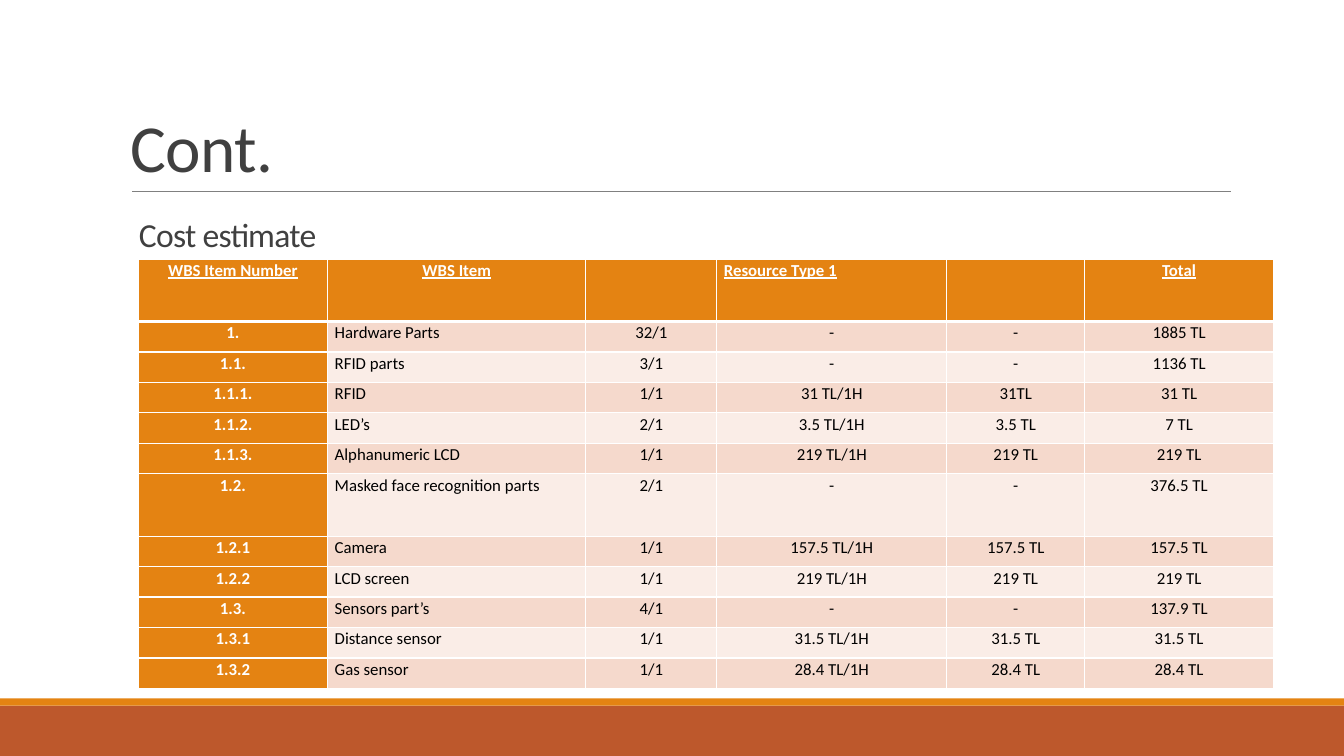
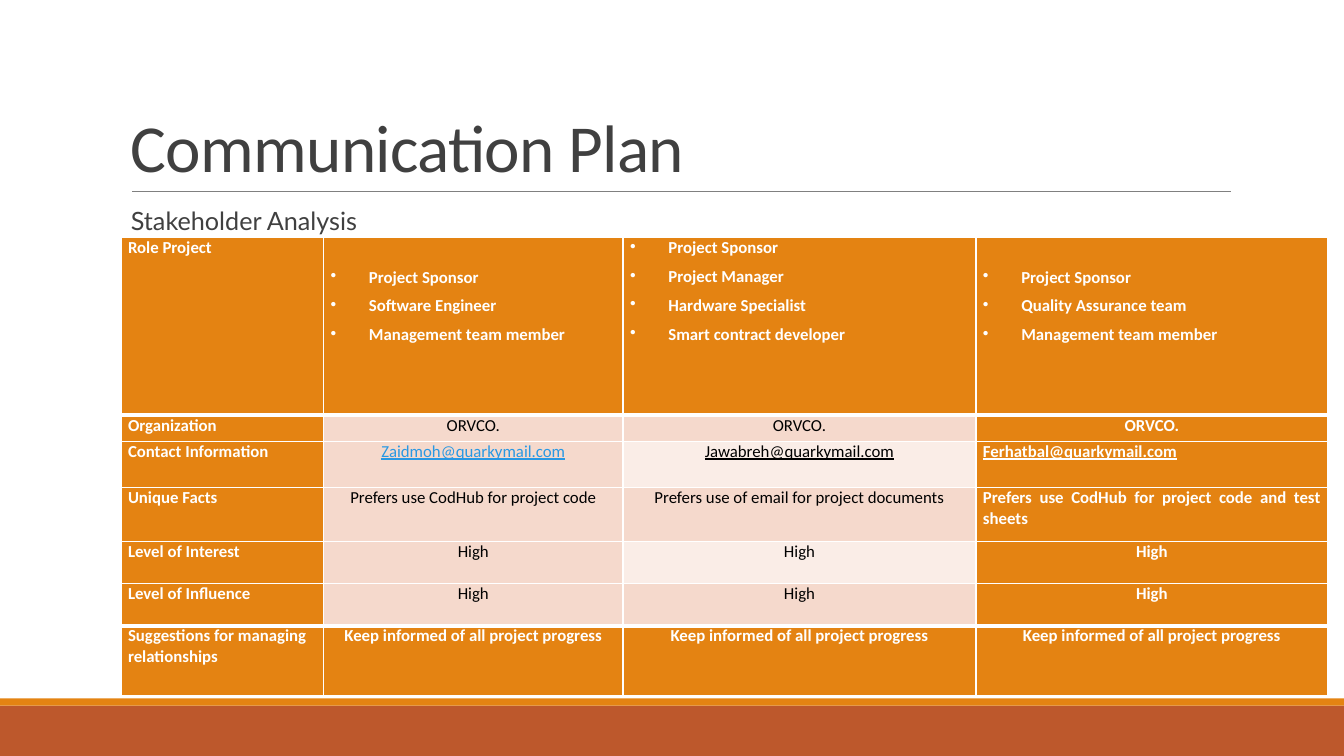
from dataclasses import dataclass

from lxml.etree import SubElement
from pptx import Presentation
from pptx.dml.color import RGBColor as RGB
from pptx.enum.shapes import MSO_CONNECTOR as Conn, MSO_SHAPE as Shape
from pptx.enum.text import MSO_ANCHOR as Anchor, PP_ALIGN as Align
from pptx.oxml.ns import qn
from pptx.util import Inches, Pt


@dataclass(frozen=True)
class Theme:
    font: str = "Calibri"
    accent: str = "E48312"
    band: str = "BD582C"
    ink: str = "404040"
    rule: str = "808080"
    white: str = "FFFFFF"
    black: str = "000000"
    link: str = "2998E3"
    tint: str = "F5D9CC"
    pale: str = "FAEDE7"
    title: int = 48
    head: int = 24
    lead: int = 18
    cell: int = 12


THEME = Theme()


@dataclass
class Look:
    """How one table cell is painted and set."""
    fill: str
    color: str = THEME.black
    bold: bool = False
    line: bool = False
    align: Align = Align.CENTER
    top: float = 0


class Deck:
    def __init__(self, theme):
        self.theme = theme
        self.prs = Presentation()
        self.prs.slide_width = Inches(13.33)
        self.prs.slide_height = Inches(7.5)
        self.slide = None

    def start(self, title):
        """Add a slide with the shared bands, rule and title."""
        t = self.theme
        self.slide = self.prs.slides.add_slide(self.prs.slide_layouts[6])
        self.band(7, 0.5, t.band)
        self.band(6.93, 0.07, t.accent)
        self.rule(1.31, 12.21, 1.9)
        self.text(title, (1.2, 0.31, 11, 1.59), t.title,
                  anchor=Anchor.BOTTOM, space=0.85, track=-50)

    def band(self, top, height, color):
        bar = self.slide.shapes.add_shape(
            Shape.RECTANGLE, 0, Inches(top), self.prs.slide_width, Inches(height))
        bar.shadow.inherit = False
        bar.fill.solid()
        bar.fill.fore_color.rgb = RGB.from_string(color)
        bar.line.fill.background()

    def rule(self, left, right, y):
        line = self.slide.shapes.add_connector(
            Conn.STRAIGHT, Inches(left), Inches(y), Inches(right), Inches(y))
        line.line.color.rgb = RGB.from_string(self.theme.rule)
        line.line.width = Pt(0.5)
        SubElement(line._element.spPr, qn("a:effectLst"))

    def run(self, para, text, size, color, font=None):
        run = para.add_run()
        run.text = text
        run.font.name = font or self.theme.font
        run.font.size = Pt(size)
        run.font.color.rgb = RGB.from_string(color)
        return run

    def text(self, text, box, size, anchor=Anchor.TOP, space=0.9,
             track=0, font=None):
        frame = self.slide.shapes.add_textbox(*map(Inches, box)).text_frame
        frame.word_wrap = True
        frame.vertical_anchor = anchor
        para = frame.paragraphs[0]
        para.line_spacing = space
        run = self.run(para, text, size, self.theme.ink, font)
        if track:
            run.font._element.set("spc", str(track))

    def table(self, spot, cols, rows, data, look, thick, space=1.0, after=0):
        """Fill a table; look(row, col) styles a cell, thick lists heavy row edges."""
        box = (*spot, sum(cols), sum(rows))
        grid = self.slide.shapes.add_table(
            len(rows), len(cols), *map(Inches, box)).table
        grid.first_row = grid.horz_banding = False
        for col, width in zip(grid.columns, cols):
            col.width = Inches(width)
        for row, height in zip(grid.rows, rows):
            row.height = Inches(height)
        for r, line in enumerate(data):
            for c, value in enumerate(line):
                cell, style = grid.cell(r, c), look(r, c)
                self.edges(cell, 3 if r in thick else 1,
                           3 if r + 1 in thick else 1)
                self.cell(cell, value, style, space, after)

    def edges(self, cell, top, bottom):
        props = cell._tc.get_or_add_tcPr()
        for side, width in zip("LRTB", (1, 1, top, bottom)):
            edge = SubElement(props, qn(f"a:ln{side}"), w=str(Pt(width)))
            fill = SubElement(edge, qn("a:solidFill"))
            SubElement(fill, qn("a:srgbClr"), val=self.theme.white)

    def cell(self, cell, value, style, space, after):
        """Write a string, or a list as bullets."""
        cell.fill.solid()
        cell.fill.fore_color.rgb = RGB.from_string(style.fill)
        cell.margin_left = cell.margin_right = Inches(0.07)
        cell.margin_top, cell.margin_bottom = Inches(style.top), 0
        listed = isinstance(value, list)
        frame = cell.text_frame
        for i, item in enumerate(value if listed else [value]):
            para = frame.add_paragraph() if i else frame.paragraphs[0]
            para.alignment = Align.LEFT if listed else style.align
            para.line_spacing = space
            para.space_after = Pt(after)
            if listed:
                self.bullet(para)
            if item:
                font = self.run(para, item, self.theme.cell, style.color).font
                font.bold, font.underline = style.bold, style.line

    def bullet(self, para):
        props = para._p.get_or_add_pPr()
        props.set("marL", str(Inches(0.38)))
        props.set("indent", str(-Inches(0.38)))
        SubElement(props, qn("a:buChar"), char="•")


def dark(**more):
    return Look(THEME.accent, THEME.white, True, **more)


def stripe(r):
    return THEME.tint if r % 2 else THEME.pale


def cost_look(r, c):
    if r == 0:
        return dark(line=True, align=Align.LEFT if c == 3 else Align.CENTER)
    if c == 0:
        return dark()
    return Look(stripe(r), align=Align.LEFT if c == 1 else Align.CENTER)


def plan_look(r, c):
    if c == 0:
        return dark(align=Align.LEFT)
    if r == 0:
        return dark(top=0 if c == 2 else 0.29)
    mail = r == 2
    if c == 3:
        return dark(line=mail,
                    align=Align.JUSTIFY if r in (2, 3) else Align.CENTER)
    if r == 6:
        return dark()
    return Look(THEME.tint if c == 1 else stripe(r), line=mail,
                color=THEME.link if mail and c == 1 else THEME.black)


COSTS = [
    ("WBS Item Number", "WBS Item", "", "Resource Type 1", "", "Total"),
    ("1.", "Hardware Parts", "32/1", "-", "-", "1885 TL"),
    ("1.1.", "RFID parts", "3/1", "-", "-", "1136 TL"),
    ("1.1.1.", "RFID", "1/1", "31 TL/1H", "31TL", "31 TL"),
    ("1.1.2.", "LED’s", "2/1", "3.5 TL/1H", "3.5 TL", "7 TL"),
    ("1.1.3.", "Alphanumeric LCD", "1/1", "219 TL/1H", "219 TL", "219 TL"),
    ("1.2.", "Masked face recognition parts", "2/1", "-", "-", "376.5 TL"),
    ("1.2.1", "Camera", "1/1", "157.5 TL/1H", "157.5 TL", "157.5 TL"),
    ("1.2.2", "LCD screen", "1/1", "219 TL/1H", "219 TL", "219 TL"),
    ("1.3.", "Sensors part’s", "4/1", "-", "-", "137.9 TL"),
    ("1.3.1", "Distance sensor", "1/1", "31.5 TL/1H", "31.5 TL", "31.5 TL"),
    ("1.3.2", "Gas sensor", "1/1", "28.4 TL/1H", "28.4 TL", "28.4 TL"),
]

PLAN = [
    ("Role Project",
     ["Project Sponsor", "Software Engineer", "Management team member"],
     ["Project Sponsor", "Project Manager", "Hardware Specialist",
      "Smart contract developer"],
     ["Project Sponsor", "Quality Assurance team", "Management team member"]),
    ("Organization", *["ORVCO."] * 3),
    ("Contact Information", "Zaidmoh@quarkymail.com",
     "Jawabreh@quarkymail.com", "Ferhatbal@quarkymail.com"),
    ("Unique Facts", "Prefers use CodHub for project code",
     "Prefers use of email for project documents",
     "Prefers use CodHub for project code and test sheets"),
    ("Level of Interest", *["High"] * 3),
    ("Level of Influence", *["High"] * 3),
    ("Suggestions for managing relationships",
     *["Keep informed of all project progress"] * 3),
]


def cost(deck):
    deck.start("Cont.")
    tall, total = 0.62, 4.26
    short = (total - 2 * tall) / (len(COSTS) - 2)
    rows = [tall if r in (0, 6) else short for r in range(len(COSTS))]
    deck.table((1.37, 2.57), [1.88, 2.56, 1.3, 2.28, 1.37, 1.87], rows,
               COSTS, cost_look, thick={1}, space=1.07)
    deck.text("Cost estimate", (1.28, 2.05, 11, 0.52), THEME.head,
              anchor=Anchor.BOTTOM, space=0.85, track=-50)


def plan(deck):
    deck.start("Communication Plan")
    deck.text("Stakeholder Analysis", (1.2, 2.02, 11, 0.34), THEME.lead,
              font="Lato")
    deck.table((1.2, 2.36), [2.01, 2.97, 3.5, 3.49],
               [1.76, 0.26, 0.46, 0.53, 0.42, 0.42, 0.69],
               PLAN, plan_look, thick={1, 6}, after=6)


def main():
    deck = Deck(THEME)
    cost(deck)
    plan(deck)
    deck.prs.save("out.pptx")


if __name__ == "__main__":
    main()
